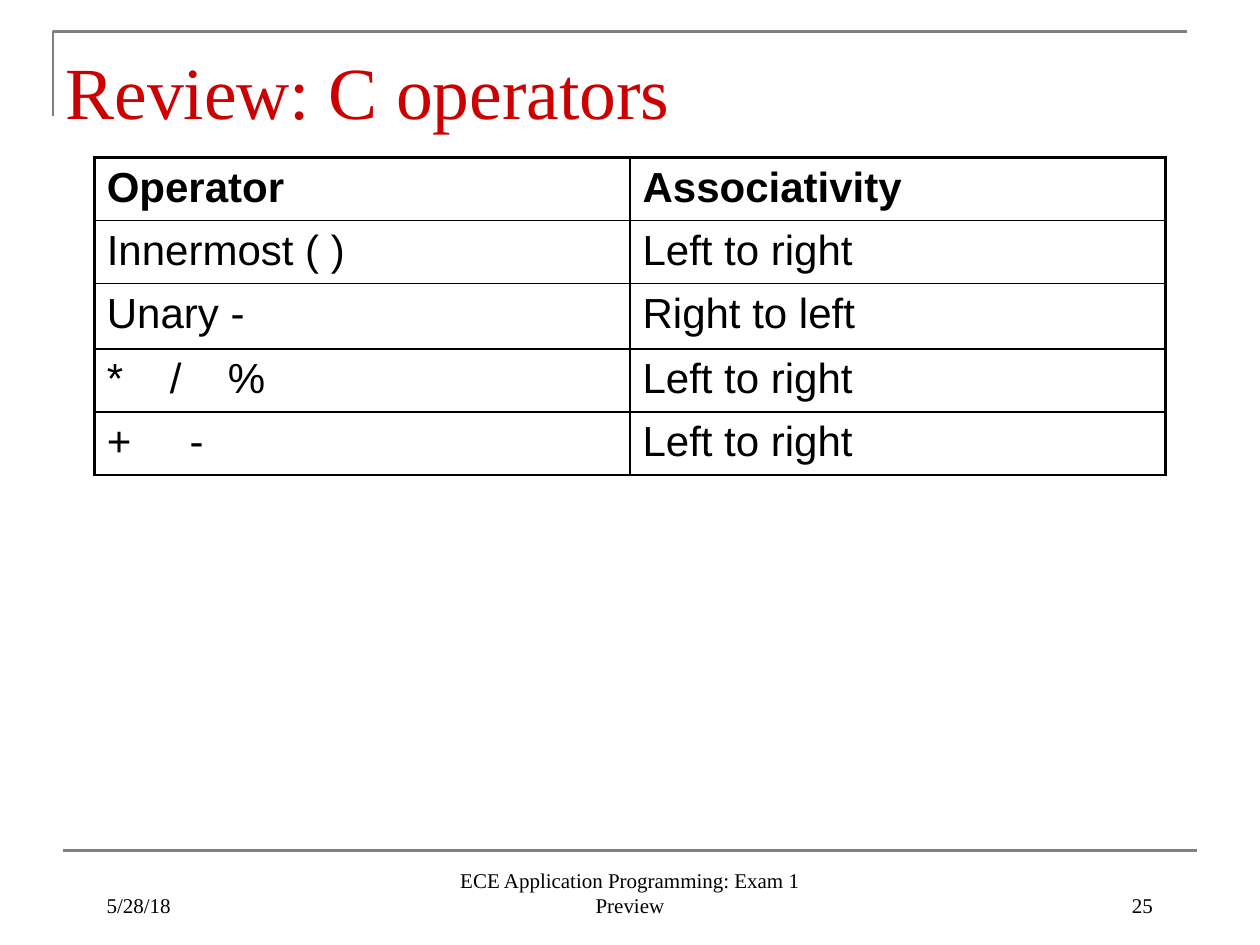
"""Build the C operator associativity review slide."""
from dataclasses import dataclass

import lxml.etree
import pptx
import pptx.dml.color
import pptx.enum.shapes
import pptx.enum.text
import pptx.oxml.ns
import pptx.slide
import pptx.table
import pptx.text.text
import pptx.util
from pptx.util import Cm, Pt

RED = pptx.dml.color.RGBColor(0xCC, 0x00, 0x00)
GREY = pptx.dml.color.RGBColor(0x80, 0x80, 0x80)
BLACK = pptx.dml.color.RGBColor(0x00, 0x00, 0x00)
SERIF = "Times New Roman"
SANS = "Arial"
ALIGN = pptx.enum.text.PP_ALIGN
ANCHOR = pptx.enum.text.MSO_ANCHOR
OUTER_BORDER = Pt(2.25)
INNER_BORDER = Pt(1)


@dataclass(frozen=True)
class OperatorRow:
    operator: str
    associativity: str
    height: float = 1.27
    tab_stops: tuple[float, ...] = ()
    bold: bool = False


@dataclass(frozen=True)
class FooterField:
    text: str
    left: float
    width: float
    align: ALIGN


OPERATOR_ROWS = (
    OperatorRow("Operator", "Associativity", bold=True),
    OperatorRow("Innermost ( )", "Left to right"),
    OperatorRow("Unary -", "Right to left", height=1.32),
    OperatorRow("*\t/\t%", "Left to right", tab_stops=(1.27, 2.44)),
    OperatorRow("+\t-", "Left to right", tab_stops=(1.67,)),
)
FOOTER_FIELDS = (
    FooterField("25", 18.2, 5.29, ALIGN.RIGHT),
    FooterField("5/28/18", 1.9, 5.29, ALIGN.LEFT),
    FooterField("ECE Application Programming: Exam 1 Preview", 8.68, 8.04, ALIGN.CENTER),
)


def format_runs(paragraph: pptx.text.text._Paragraph, face: str, size: float,
                color: pptx.dml.color.RGBColor, bold: bool = False) -> None:
    for run in paragraph.runs:
        run.font.name = face
        run.font.size = Pt(size)
        run.font.color.rgb = color
        run.font.bold = bold


def add_child(parent: lxml.etree._Element, tag: str, **attributes: str) -> lxml.etree._Element:
    return lxml.etree.SubElement(parent, pptx.oxml.ns.qn(tag), attributes)


def draw_rules(slide: pptx.slide.Slide) -> None:
    builder = slide.shapes.build_freeform(Cm(1.07), Cm(2.34))
    builder.add_line_segments([(Cm(1.07), Cm(0.64)), (Cm(23.93), Cm(0.64))], close=False)
    title_rule = builder.convert_to_shape()
    title_rule.fill.background()
    title_rule.shadow.inherit = False
    footer_rule = slide.shapes.add_connector(
        pptx.enum.shapes.MSO_CONNECTOR.STRAIGHT, Cm(1.27), Cm(17.15), Cm(24.13), Cm(17.15))
    for rule in (title_rule, footer_rule):
        rule.line.color.rgb = GREY
        rule.line.width = Pt(1.5)
    add_child(footer_rule._element.spPr, "a:effectLst")


def draw_title(slide: pptx.slide.Slide) -> None:
    title = slide.shapes.title
    title.left, title.top, title.width, title.height = Cm(1.07), Cm(0.64), Cm(21.59), Cm(2.34)
    frame = title.text_frame
    frame.text = "Review: C operators"
    frame.auto_size = pptx.enum.text.MSO_AUTO_SIZE.NONE
    frame.vertical_anchor = ANCHOR.MIDDLE
    frame.paragraphs[0].alignment = ALIGN.LEFT
    format_runs(frame.paragraphs[0], SERIF, 42, RED)


def set_borders(cell: pptx.table._Cell, widths: dict[str, int]) -> None:
    properties = cell._tc.get_or_add_tcPr()
    for side, width in widths.items():
        border = add_child(properties, f"a:ln{side}", w=str(width))
        fill = add_child(border, "a:solidFill")
        add_child(fill, "a:srgbClr", val=str(BLACK))


def fill_cell(cell: pptx.table._Cell, text: str, row: OperatorRow) -> None:
    cell.text_frame.text = text
    paragraph = cell.text_frame.paragraphs[0]
    if "\t" in text:
        tabs = add_child(paragraph._p.get_or_add_pPr(), "a:tabLst")
        for stop in row.tab_stops:
            add_child(tabs, "a:tab", pos=str(Cm(stop)), algn="l")
    format_runs(paragraph, SANS, 24, BLACK, row.bold)


def draw_operator_table(slide: pptx.slide.Slide) -> None:
    total_height = sum(row.height for row in OPERATOR_ROWS)
    table = slide.shapes.add_table(
        len(OPERATOR_ROWS), 2, Cm(1.9), Cm(3.18), Cm(21.6), Cm(total_height)).table
    table.first_row = False
    table.horz_banding = False
    for row_index, row in enumerate(OPERATOR_ROWS):
        table.rows[row_index].height = Cm(row.height)
        for column, text in enumerate((row.operator, row.associativity)):
            cell = table.cell(row_index, column)
            set_borders(cell, {
                "L": OUTER_BORDER if column == 0 else INNER_BORDER,
                "R": OUTER_BORDER if column == 1 else INNER_BORDER,
                "T": OUTER_BORDER if row_index == 0 else INNER_BORDER,
                "B": INNER_BORDER,
            })
            cell.fill.background()
            fill_cell(cell, text, row)


def draw_footer_field(slide: pptx.slide.Slide, field: FooterField) -> None:
    frame = slide.shapes.add_textbox(
        Cm(field.left), Cm(17.35), Cm(field.width), Cm(1.27)).text_frame
    frame.word_wrap = True
    frame.vertical_anchor = ANCHOR.BOTTOM
    frame.text = field.text
    frame.paragraphs[0].alignment = field.align
    format_runs(frame.paragraphs[0], SERIF, 12, BLACK)


def main() -> None:
    presentation = pptx.Presentation()
    presentation.slide_width, presentation.slide_height = Cm(25.4), Cm(19.05)
    slide = presentation.slides.add_slide(presentation.slide_layouts.get_by_name("Title Only"))
    draw_rules(slide)
    draw_title(slide)
    draw_operator_table(slide)
    for field in FOOTER_FIELDS:
        draw_footer_field(slide, field)
    presentation.save("out.pptx")


if __name__ == "__main__":
    main()
